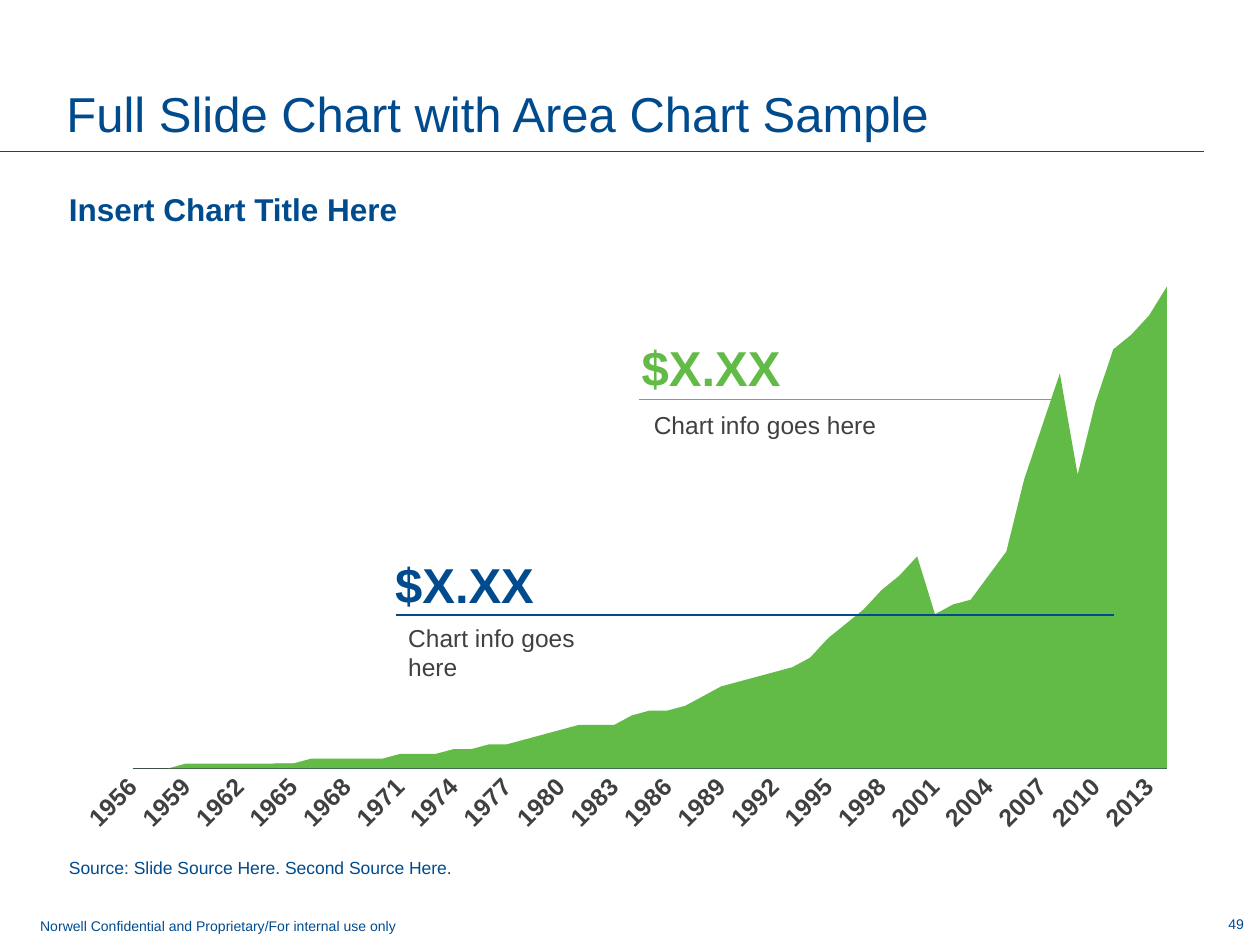
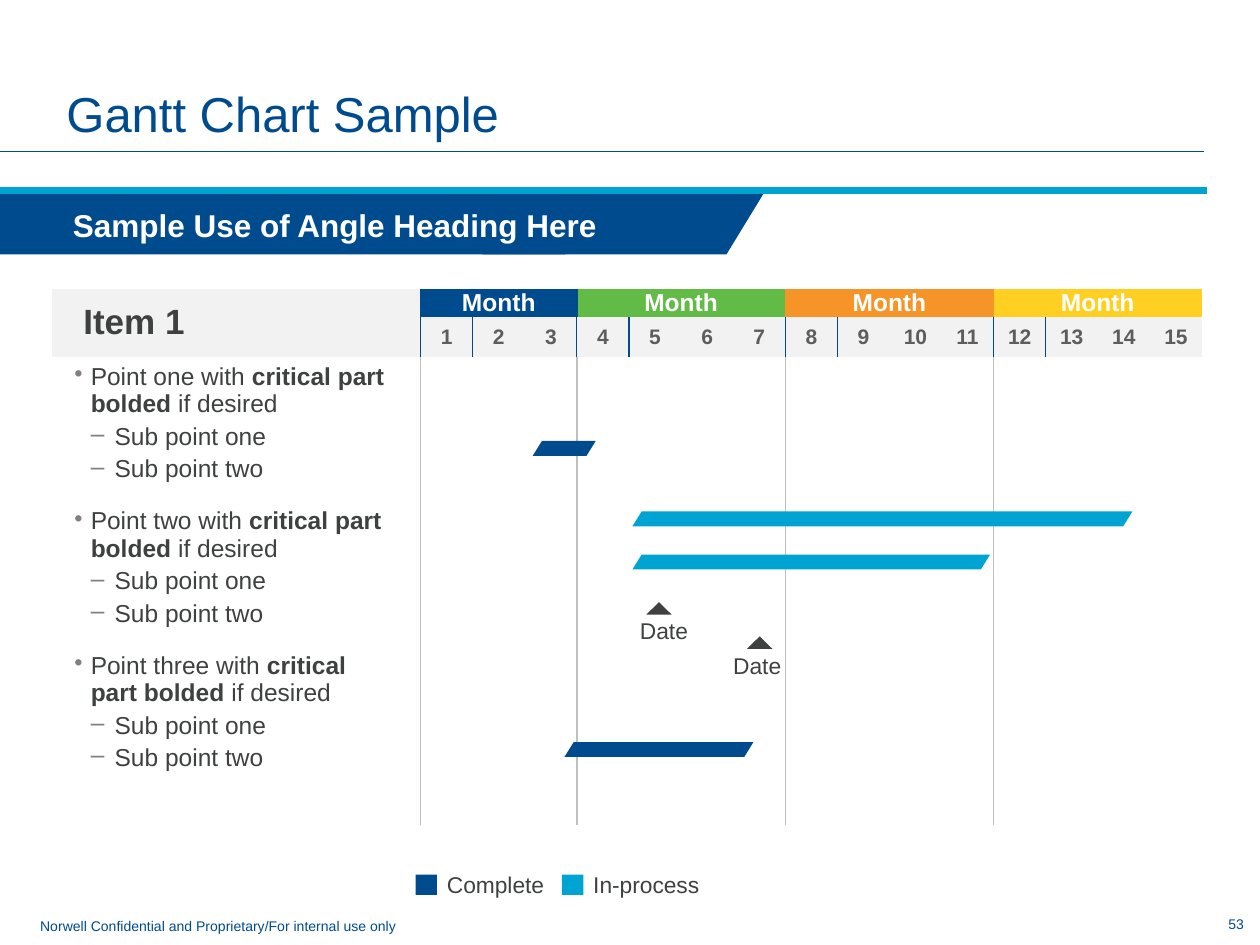
from dataclasses import dataclass

from lxml import etree
from pptx import Presentation
from pptx.chart.data import CategoryChartData
from pptx.dml.color import RGBColor
from pptx.enum.chart import XL_CHART_TYPE as ChartType, XL_TICK_MARK as Tick
from pptx.enum.shapes import MSO_CONNECTOR as Connector, MSO_SHAPE as Shape
from pptx.enum.text import MSO_ANCHOR as Anchor, MSO_AUTO_SIZE as AutoSize, PP_ALIGN as Align
from pptx.oxml import parse_xml
from pptx.oxml.ns import nsdecls, qn
from pptx.util import Cm, Pt


@dataclass(frozen=True)
class Theme:
    font: str = "Arial"
    blue: str = "004B8D"
    sky: str = "00A4D2"
    green: str = "62BB46"
    orange: str = "F79428"
    yellow: str = "FFCF22"
    ink: str = "3F4040"
    number: str = "5D5D5D"
    bullet: str = "808080"
    rule: str = "BFBFBF"
    pale: str = "F2F2F2"
    white: str = "FFFFFF"
    title: int = 28
    item: int = 20
    heading: int = 18
    body: int = 14
    label: int = 13
    week: int = 12
    source: int = 10
    footer: int = 8


THEME = Theme()
NO_STYLE = "{2D5ABB26-0587-4C30-8999-92F81FD0307C}"
INSETS = (0.25, 0.13, 0.25, 0.13)
FOOTER = "Norwell Confidential and Proprietary/For internal use only"


def rgb(color):
    return RGBColor.from_string(color)


class SlideWriter:
    def __init__(self, deck, theme):
        self.deck = deck
        self.theme = theme
        self.page = None

    def start(self, title, number):
        theme = self.theme
        self.page = self.deck.slides.add_slide(self.deck.slide_layouts[5])
        box = self.page.shapes.title
        box.left, box.top, box.width, box.height = Cm(1.09), Cm(0.36), Cm(23.22), Cm(2.64)
        self.frame(box.text_frame, Anchor.BOTTOM)
        para = self.para(box.text_frame, spacing=0.85)
        self.span(para, title, theme.title, theme.blue)
        self.line(0, 24.28, 3.05, theme.blue)
        self.text(23.83, 18.36, 1.5, 0.53, number, theme.footer, theme.blue,
                  anchor=Anchor.MIDDLE, align=Align.RIGHT)
        self.text(0.56, 18.36, 23.16, 0.69, FOOTER, theme.footer, theme.blue)

    def frame(self, frame, anchor=Anchor.TOP, insets=INSETS, wrap=True):
        frame.auto_size = AutoSize.NONE
        frame.word_wrap = wrap
        frame.vertical_anchor = anchor
        (frame.margin_left, frame.margin_top,
         frame.margin_right, frame.margin_bottom) = map(Cm, insets)

    def para(self, frame, align=Align.LEFT, spacing=None, first=True):
        para = frame.paragraphs[0] if first else frame.add_paragraph()
        para.alignment = align
        if spacing:
            para.line_spacing = spacing
        return para

    def span(self, para, words, size, color, bold=False):
        span = para.add_run()
        span.text = words
        font = span.font
        font.name, font.size, font.bold = self.theme.font, Pt(size), bold
        font.color.rgb = rgb(color)

    def bullet(self, para, mark, margin, indent):
        props = para._p.get_or_add_pPr()
        props.set("marL", str(Cm(margin)))
        props.set("indent", str(Cm(indent)))
        tint = etree.SubElement(props, qn("a:buClr"))
        etree.SubElement(tint, qn("a:srgbClr"), val=self.theme.bullet)
        etree.SubElement(props, qn("a:buChar"), char=mark)

    def text(self, left, top, width, height, words, size, color, bold=False,
             anchor=Anchor.TOP, align=Align.LEFT, insets=INSETS, wrap=True,
             spacing=None, after=0):
        box = self.page.shapes.add_textbox(Cm(left), Cm(top), Cm(width), Cm(height))
        self.frame(box.text_frame, anchor, insets, wrap)
        para = self.para(box.text_frame, align, spacing)
        para.space_after = Pt(after)
        self.span(para, words, size, color, bold)

    def line(self, start, end, top, color, weight=0.75):
        line = self.page.shapes.add_connector(
            Connector.STRAIGHT, Cm(start), Cm(top), Cm(end), Cm(top))
        line.line.color.rgb = rgb(color)
        line.line.width = Pt(weight)
        etree.SubElement(line._element.spPr, qn("a:effectLst"))

    def shape(self, kind, left, top, width, height, color, slant=None):
        shape = self.page.shapes.add_shape(kind, Cm(left), Cm(top), Cm(width), Cm(height))
        shape.shadow.inherit = False
        shape.fill.solid()
        shape.fill.fore_color.rgb = rgb(color)
        shape.line.fill.background()
        if slant:
            shape.adjustments[0] = slant

    def callout(self, left, top, color):
        self.text(left, top, 3.33, 1.45, "$X.XX", self.theme.title, color, True,
                  align=Align.CENTER, wrap=False)

    def area_chart(self, left, top, width, height, categories, series, peak):
        theme = self.theme
        data = CategoryChartData()
        data.categories = categories
        for name, values, _ in series:
            data.add_series(name, values)
        chart = self.page.shapes.add_chart(
            ChartType.AREA, Cm(left), Cm(top), Cm(width), Cm(height), data).chart
        chart.has_legend = chart.has_title = False
        chart.font.name, chart.font.size = theme.font, Pt(theme.heading)
        chart.font.color.rgb = rgb(theme.ink)
        plot = chart.plots[0]
        plot.vary_by_categories = False
        for drawn, (_, _, color) in zip(plot.series, series):
            drawn.format.fill.solid()
            drawn.format.fill.fore_color.rgb = rgb(color)
            drawn.format.line.fill.background()
        values = chart.value_axis
        values.visible = values.has_major_gridlines = False
        values.minimum_scale, values.maximum_scale = 0, peak
        for cross in values._element.findall(qn("c:crossBetween")):
            cross.set("val", "midCat")
        years = chart.category_axis
        years.has_major_gridlines = False
        years.major_tick_mark = years.minor_tick_mark = Tick.NONE
        years.format.line.color.rgb = rgb(theme.ink)
        years.format.line.width = Pt(0.75)
        font = years.tick_labels.font
        font.name, font.size, font.bold = theme.font, Pt(theme.body), True
        font.color.rgb = rgb(theme.ink)
        years._element.find(qn("c:txPr")).find(qn("a:bodyPr")).set("rot", "-2700000")
        for skip in years._element.findall(qn("c:tickLblSkip")):
            years._element.remove(skip)
        skip = parse_xml(f'<c:tickLblSkip {nsdecls("c")} val="3"/>')
        years._element.find(qn("c:noMultiLvlLbl")).addprevious(skip)
        self.place_plot(chart, x=0.066, y=0.031, w=0.898, h=0.847)

    def place_plot(self, chart, **places):
        area = chart._chartSpace.chart.plotArea
        for layout in area.findall(qn("c:layout")):
            area.remove(layout)
        modes = '<c:xMode val="edge"/><c:yMode val="edge"/>'
        sizes = "".join(f'<c:{key} val="{value}"/>' for key, value in places.items())
        area.insert(0, parse_xml(
            f'<c:layout {nsdecls("c")}><c:manualLayout><c:layoutTarget val="inner"/>'
            f'{modes}{sizes}</c:manualLayout></c:layout>'))

    def table(self, left, top, widths, heights):
        frame = self.page.shapes.add_table(
            len(heights), len(widths), Cm(left), Cm(top), Cm(sum(widths)), Cm(sum(heights)))
        table = frame.table
        table.first_row = table.horz_banding = False
        table._tbl.tblPr.find(qn("a:tableStyleId")).text = NO_STYLE
        for column, width in zip(table.columns, widths):
            column.width = Cm(width)
        for row, height in zip(table.rows, heights):
            row.height = Cm(height)
        for cell in table.iter_cells():
            self.cell(cell)
        return table

    def cell(self, cell, fill=None, insets=(0, 0, 0, 0), anchor=Anchor.MIDDLE):
        (cell.margin_left, cell.margin_top,
         cell.margin_right, cell.margin_bottom) = map(Cm, insets)
        cell.vertical_anchor = anchor
        if fill:
            cell.fill.solid()
            cell.fill.fore_color.rgb = rgb(fill)
        else:
            cell.fill.background()

    def border(self, cell, side, color, weight=1):
        props = cell._tc.get_or_add_tcPr()
        edge = parse_xml(
            f'<a:ln{side} {nsdecls("a")} w="{Pt(weight)}"><a:solidFill>'
            f'<a:srgbClr val="{color}"/></a:solidFill></a:ln{side}>')
        props.insert(len(props.findall(qn("a:lnL"))), edge)


def build_area_slide(writer):
    theme = writer.theme
    first = [0, 0, 0, 1, 1, 1, 1, 1, 1, 1, 2, 2, 2, 2, 2, 3, 3, 3, 4, 4,
             5, 5, 6, 7, 8, 9, 9, 9, 11, 12, 12, 13, 15, 17, 18, 19, 20, 21, 23, 27,
             30, 33, 37, 40, 44, 32, 34, 35, 40, 45, 60, 71, 82, 61, 76, 87, 90, 94, 100]
    second = [0, 0, 0, 0, 0, 0, 0, 0, 1, 1, 1, 1, 1, 1, 1, 1, 1, 1, 2, 2,
              2, 2, 3, 3, 4, 4, 4, 5, 5, 6, 6, 6, 7, 7, 8, 9, 9, 10, 10, 12,
              13, 14, 16, 17, 19, 20, 21, 21, 21, 22, 24, 28, 32, 35, 36, 37, 43, 44, 46]
    info = "Chart info goes here"
    writer.start("Full Slide Chart with Area Chart Sample", "49")
    writer.text(1.14, 17.27, 23.22, 0.56, "Source: Slide Source Here. Second Source Here.",
                theme.source, theme.blue, anchor=Anchor.BOTTOM,
                insets=(0.25, 0.25, 0.25, 0.13), spacing=0.9)
    writer.text(1.14, 3.38, 23.22, 1.22, "Insert Chart Title Here", theme.heading, theme.blue,
                True, anchor=Anchor.BOTTOM, insets=(0.25, 0.25, 0.25, 0), spacing=0.9, after=3)
    writer.callout(12.67, 6.68, theme.green)
    writer.line(12.88, 21.31, 8.06, theme.green)
    writer.text(12.93, 8.13, 6.86, 0.86, info, theme.body, theme.ink)
    writer.area_chart(1.14, 4.72, 23.22, 12.27, [str(year) for year in range(1956, 2015)],
                      [("Series 1", first, theme.green), ("Series 2", second, theme.blue)], 107)
    writer.callout(7.7, 11.05, theme.blue)
    writer.text(7.98, 12.42, 4.6, 1.45, info, theme.body, theme.ink)
    writer.line(7.98, 22.45, 12.4, theme.blue)


def fill_points(writer, cell):
    theme = writer.theme
    points = [("Point one with ", "critical part bolded", " if desired"),
              ("Point two with ", "critical part bolded ", "if desired"),
              ("Point three with ", "critical part bolded ", "if desired")]
    for index, (lead, strong, tail) in enumerate(points):
        para = writer.para(cell.text_frame, first=index == 0)
        writer.bullet(para, "•", 0.33, -0.33)
        para.space_before = Pt(theme.body if index else 0)
        for words, bold in ((lead, False), (strong, True), (tail, False)):
            writer.span(para, words, theme.body, theme.ink, bold)
        for words in ("Sub point one", "Sub point two"):
            para = writer.para(cell.text_frame, first=False)
            para.level = 1
            writer.bullet(para, "–", 0.81, -0.48)
            para.space_before = Pt(theme.body * 0.2)
            writer.span(para, words, theme.body, theme.ink)


def build_schedule(writer):
    theme = writer.theme
    months = [(theme.blue, 3), (theme.green, 4), (theme.orange, 4), (theme.yellow, 4)]
    table = writer.table(1.04, 5.82, [7.44] + [1.05] * 15, [0.58, 0.79, 9.45])
    item, points = table.cell(0, 0), table.cell(2, 0)
    item.merge(table.cell(1, 0))
    writer.border(item, "R", theme.blue)
    writer.cell(item, theme.pale, (0.46, 0, 0.46, 0))
    para = writer.para(item.text_frame)
    para._p.get_or_add_pPr().set("marL", str(Cm(0.18)))
    writer.span(para, "Item 1", theme.item, theme.ink, True)
    writer.cell(points, None, (0.46, 0.13, 0.46, 0.13), Anchor.TOP)
    fill_points(writer, points)
    for week in range(1, 16):
        cell = table.cell(1, week)
        writer.cell(cell, theme.pale)
        writer.span(writer.para(cell.text_frame, Align.CENTER), str(week),
                    theme.week, theme.number, True)
    start, before = 1, points
    for color, weeks in months:
        month, track = table.cell(0, start), table.cell(2, start)
        for cell, row in ((month, 0), (track, 2)):
            cell.merge(table.cell(row, start + weeks - 1))
        writer.cell(month, color, (0.46, 0, 0.46, 0))
        writer.span(writer.para(month.text_frame, Align.CENTER), "Month",
                    theme.body, theme.white, True)
        weight = 1 if start == 1 else 0.75
        writer.border(table.cell(1, start), "L", theme.blue, weight)
        if start == 1:
            writer.border(month, "L", theme.blue)
        else:
            writer.border(table.cell(1, start - 1), "R", theme.blue, weight)
        writer.border(track, "L", theme.rule)
        writer.border(before, "R", theme.rule)
        start, before = start + weeks, track


def build_gantt_slide(writer):
    theme = writer.theme
    writer.start("Gantt Chart Sample", "53")
    build_schedule(writer)
    legend = [("Complete", theme.blue), ("In-process", theme.sky)]
    for index, (status, color) in enumerate(legend):
        left = 8.38 + 2.95 * index
        writer.shape(Shape.RECTANGLE, left, 17.63, 0.43, 0.41, color)
        writer.text(left + 0.53, 17.58, 2.51, 0.48, status, theme.label, theme.ink,
                    anchor=Anchor.MIDDLE, insets=(0.1, 0.1, 0.1, 0.1))
    for left, top, label_left in ((13.03, 12.14, 12.85), (15.06, 12.83, 14.73)):
        writer.shape(Shape.ISOSCELES_TRIANGLE, left, top, 0.51, 0.25, theme.ink)
        writer.text(label_left, top + 0.3, 1.07, 0.56, "Date", theme.label, theme.ink,
                    align=Align.CENTER, insets=(0, 0, 0, 0), wrap=False)
    bars = [(12.75, 11.18, 7.21, theme.sky), (12.75, 10.31, 10.08, theme.sky),
            (11.38, 14.96, 3.81, theme.blue), (10.74, 8.89, 1.27, theme.blue)]
    for left, top, width, color in bars:
        writer.shape(Shape.PARALLELOGRAM, left, top, width, 0.3, color, 0.62)
    writer.shape(Shape.PARALLELOGRAM, 9.73, 3.86, 5.69, 1.27, theme.blue, 0.61)
    writer.shape(Shape.RECTANGLE, 0, 3.86, 11.4, 1.27, theme.blue)
    writer.line(0, 24.33, 3.84, theme.sky, 4.5)
    writer.text(1.22, 3.99, 12.93, 1.02, "Sample Use of Angle Heading Here",
                theme.heading, theme.white, True, spacing=1.05)


def main():
    deck = Presentation()
    deck.slide_width, deck.slide_height = Cm(25.4), Cm(19.05)
    writer = SlideWriter(deck, THEME)
    build_area_slide(writer)
    build_gantt_slide(writer)
    deck.save("out.pptx")


if __name__ == "__main__":
    main()
